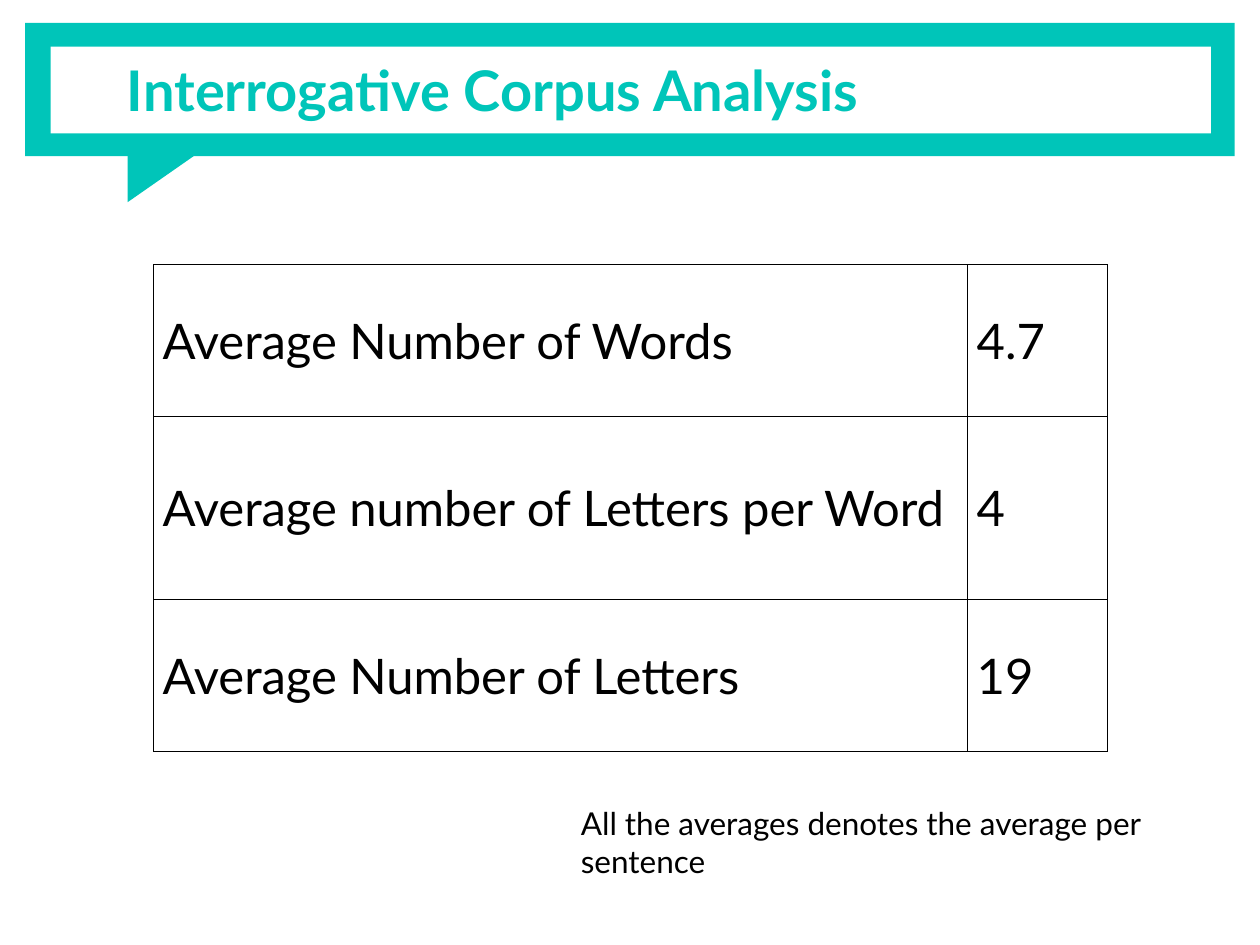
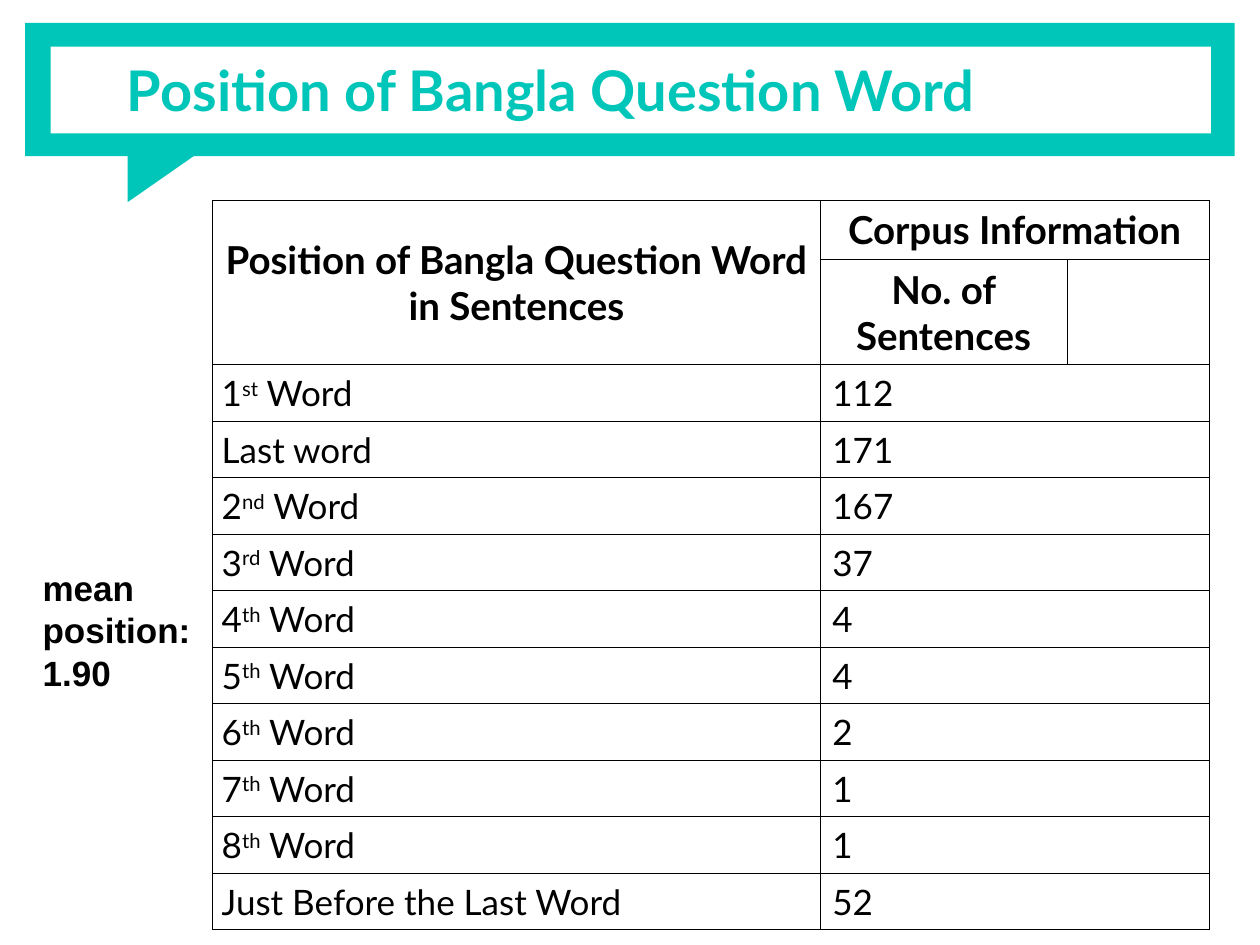
from pptx import Presentation
from pptx import util as u
from pptx.dml.color import RGBColor
from pptx.enum import shapes, text
from pptx.oxml import parse_xml
from pptx.oxml.ns import nsdecls

# Content: text between carets is raised
TITLES = ["Interrogative Corpus Analysis", "Position of Bangla Question Word"]
MEANS = [
    ("Average Number of Words", "4.7"),
    ("Average number of Letters per Word", "4"),
    ("Average Number of Letters", "19"),
]
NOTE = "All the averages denotes the average per sentence"
HEAD = "Position of Bangla Question Word in Sentences"
GROUP, COUNT = "Corpus Information", "No. of Sentences"
PLACES = [
    ("1^st^ Word", "112"),
    ("Last word", "171"),
    ("2^nd^ Word", "167"),
    ("3^rd^ Word", "37"),
    ("4^th^ Word", "4"),
    ("5^th^ Word", "4"),
    ("6^th^ Word", "2"),
    ("7^th^ Word", "1"),
    ("8^th^ Word", "1"),
    ("Just Before the Last Word", "52"),
]
MEAN = "mean position: 1.90"

# Shared look
TEAL, WHITE, BLACK = "00C5B9", "FFFFFF", "000000"
WIDE, TIGHT = (0.25, 0.13), (0.18, 0)
LEFT, MID, JUST = (text.PP_ALIGN.LEFT, text.PP_ALIGN.CENTER,
                   text.PP_ALIGN.JUSTIFY)


def color(code):
    return RGBColor.from_string(code)


def write(frame, words, size=20, font="Lato", ink=BLACK, bold=False,
          align=LEFT):
    para = frame.paragraphs[0]
    para.alignment = align
    for i, part in enumerate(words.split("^")):
        run = para.add_run()
        run.text = part
        run.font.size, run.font.name, run.font.bold = u.Pt(size), font, bold
        run.font.color.rgb = color(ink)
        if i % 2:
            run._r.get_or_add_rPr().set("baseline", "30000")


def label(slide, box, words, inset=WIDE, anchor=text.MSO_ANCHOR.TOP, **style):
    frame = slide.shapes.add_textbox(*map(u.Cm, box)).text_frame
    frame.word_wrap = True
    frame.vertical_anchor = anchor
    frame.margin_left = frame.margin_right = u.Cm(inset[0])
    frame.margin_top = frame.margin_bottom = u.Cm(inset[1])
    write(frame, words, **style)


def block(slide, kind, box, fill, turn=0):
    shape = slide.shapes.add_shape(kind, *map(u.Cm, box))
    shape.shadow.inherit = False
    shape.fill.solid()
    shape.fill.fore_color.rgb = color(fill)
    shape.line.fill.background()
    shape.rotation = turn


def page(deck, title):
    slide = deck.slides.add_slide(deck.slide_layouts[6])
    kind = shapes.MSO_SHAPE
    band = (0.51, 0.46, 24.38, 2.69)
    block(slide, kind.RECTANGLE, band, TEAL)
    block(slide, kind.RIGHT_TRIANGLE, (2.84, 2.59, 1.22, 1.75), TEAL, 90)
    block(slide, kind.RECTANGLE, (1.02, 0.94, 23.39, 1.75), WHITE)
    label(slide, (2.31, 0.46, 22.1, 2.69), title, (0.25, 0.25),
          text.MSO_ANCHOR.MIDDLE, size=32, ink=TEAL, bold=True)
    return slide


def grid(slide, left, top, cols, rows):
    table = slide.shapes.add_table(
        len(rows), len(cols), u.Cm(left), u.Cm(top),
        u.Cm(sum(cols)), u.Cm(sum(rows))).table
    table.first_row = table.horz_banding = False
    for col, size in zip(table.columns, cols):
        col.width = u.Cm(size)
    for row, size in zip(table.rows, rows):
        row.height = u.Cm(size)
    for cell in table.iter_cells():
        props = cell._tc.get_or_add_tcPr()
        for side in ("lnL", "lnR", "lnT", "lnB"):
            props.append(parse_xml(
                f'<a:{side} {nsdecls("a")} w="6350"><a:solidFill>'
                f'<a:srgbClr val="{BLACK}"/></a:solidFill></a:{side}>'))
        cell.fill.background()
    return table


def put(cell, words, inset=WIDE, **style):
    cell.margin_left = cell.margin_right = u.Cm(inset[0])
    cell.margin_top = cell.margin_bottom = u.Cm(inset[1])
    cell.vertical_anchor = text.MSO_ANCHOR.MIDDLE
    write(cell.text_frame, words, **style)


deck = Presentation()
deck.slide_width, deck.slide_height = u.Cm(25.4), u.Cm(19.05)
first, second = [page(deck, title) for title in TITLES]

# Slide 1: averages
table = grid(first, 3.1, 5.33, [16.41, 2.82], [3.07, 3.68, 3.07])
for r, row in enumerate(MEANS):
    for c, words in enumerate(row):
        put(table.cell(r, c), words, TIGHT, size=28, align=JUST)
label(first, (11.46, 16.08, 14.02, 1.02), NOTE, size=18)

# Slide 2: word positions under a two-row head
table = grid(second, 4.29, 4.04, [12.24, 4.98, 2.87],
             [1.14, 1.96] + [1.14] * len(PLACES))
table.cell(0, 0).merge(table.cell(1, 0))
table.cell(0, 1).merge(table.cell(0, 2))
bold = dict(size=22, bold=True, align=MID)
put(table.cell(0, 0), HEAD, **bold)
put(table.cell(0, 1), GROUP, **bold)
put(table.cell(1, 1), COUNT, TIGHT, **bold)
for r, (place, count) in enumerate(PLACES, 2):
    table.cell(r, 1).merge(table.cell(r, 2))
    put(table.cell(r, 0), place, TIGHT, align=JUST)
    put(table.cell(r, 1), count, align=JUST)
label(second, (0.61, 11.3, 3.68, 2.82), MEAN, font="Arial", bold=True)

deck.save("out.pptx")
